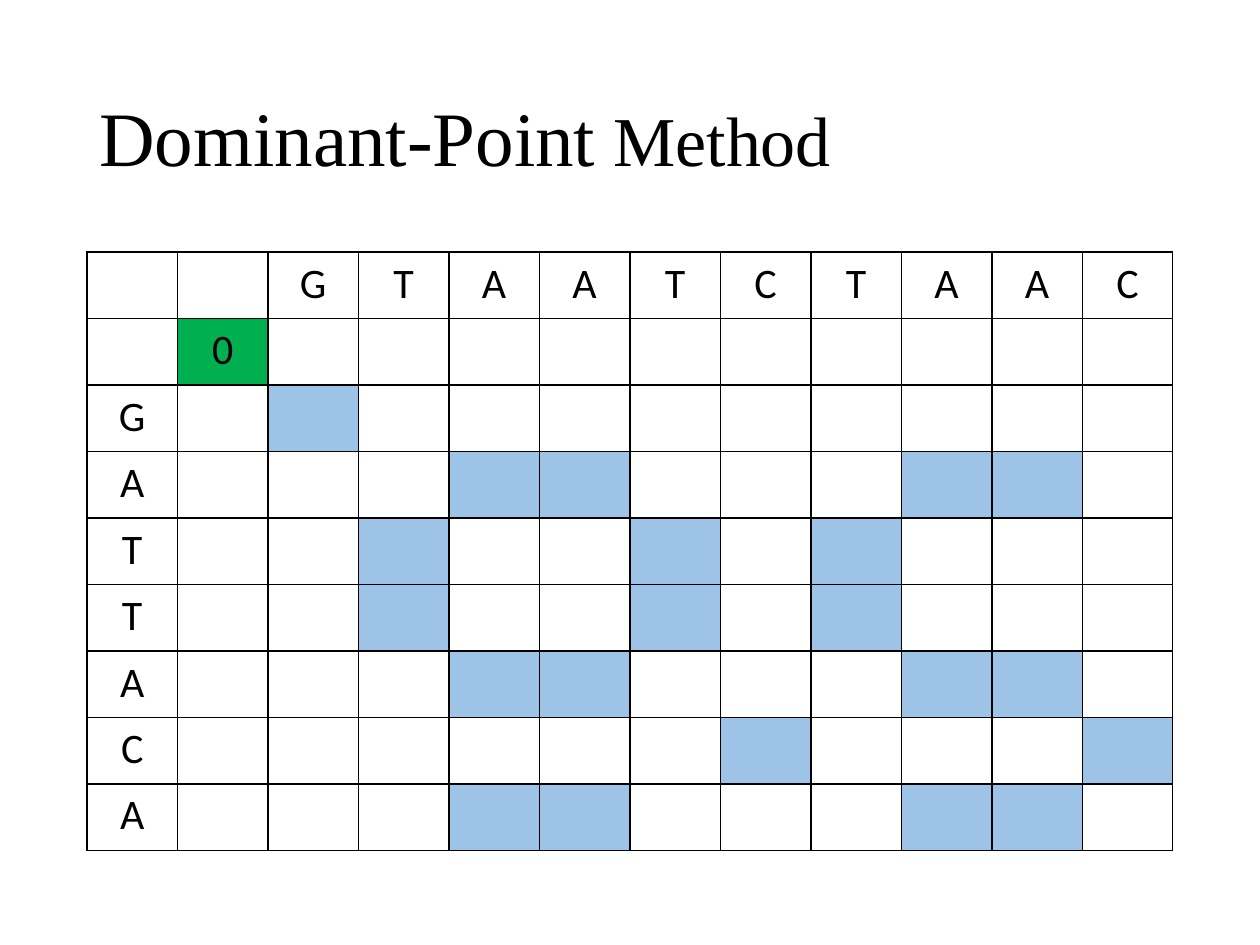
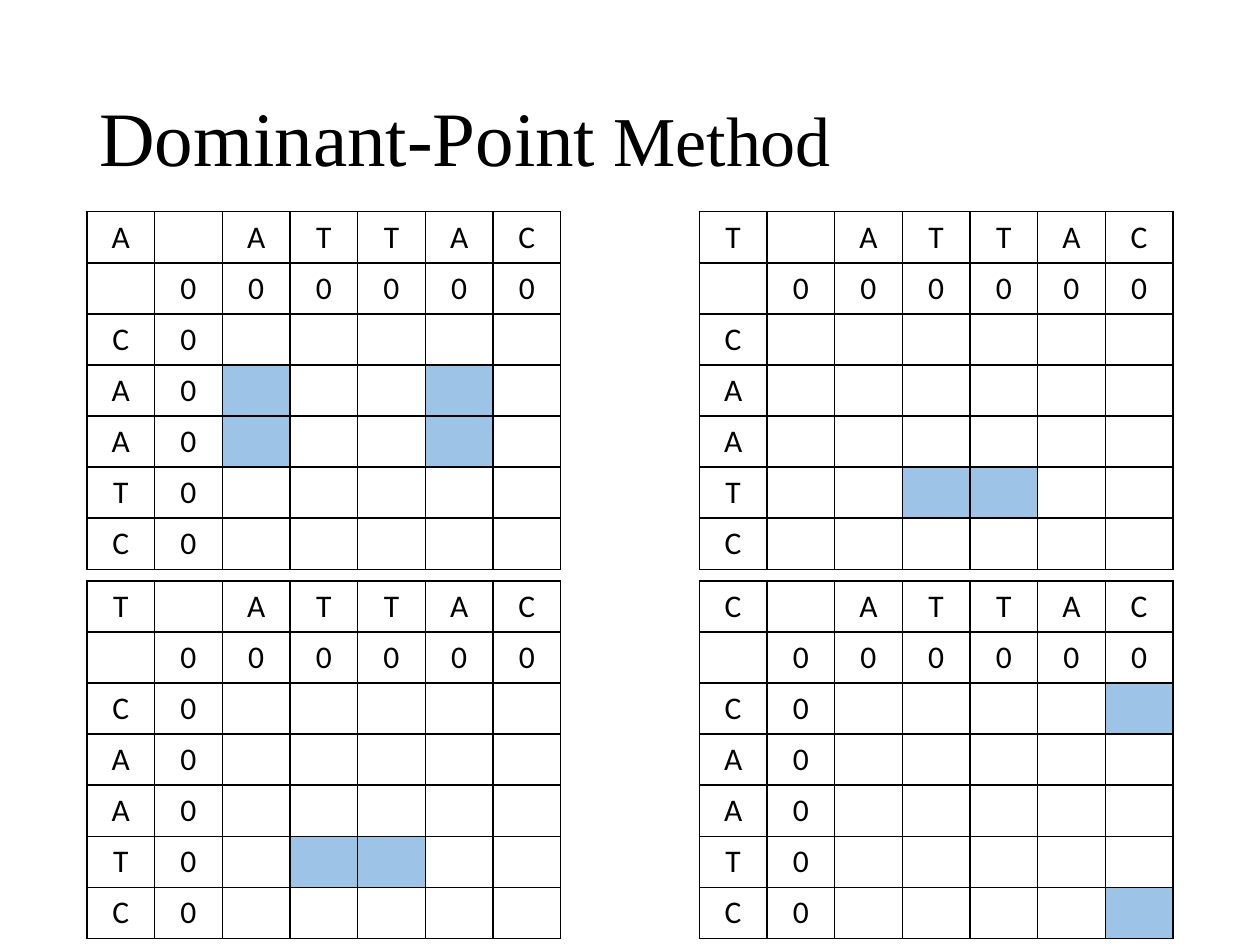
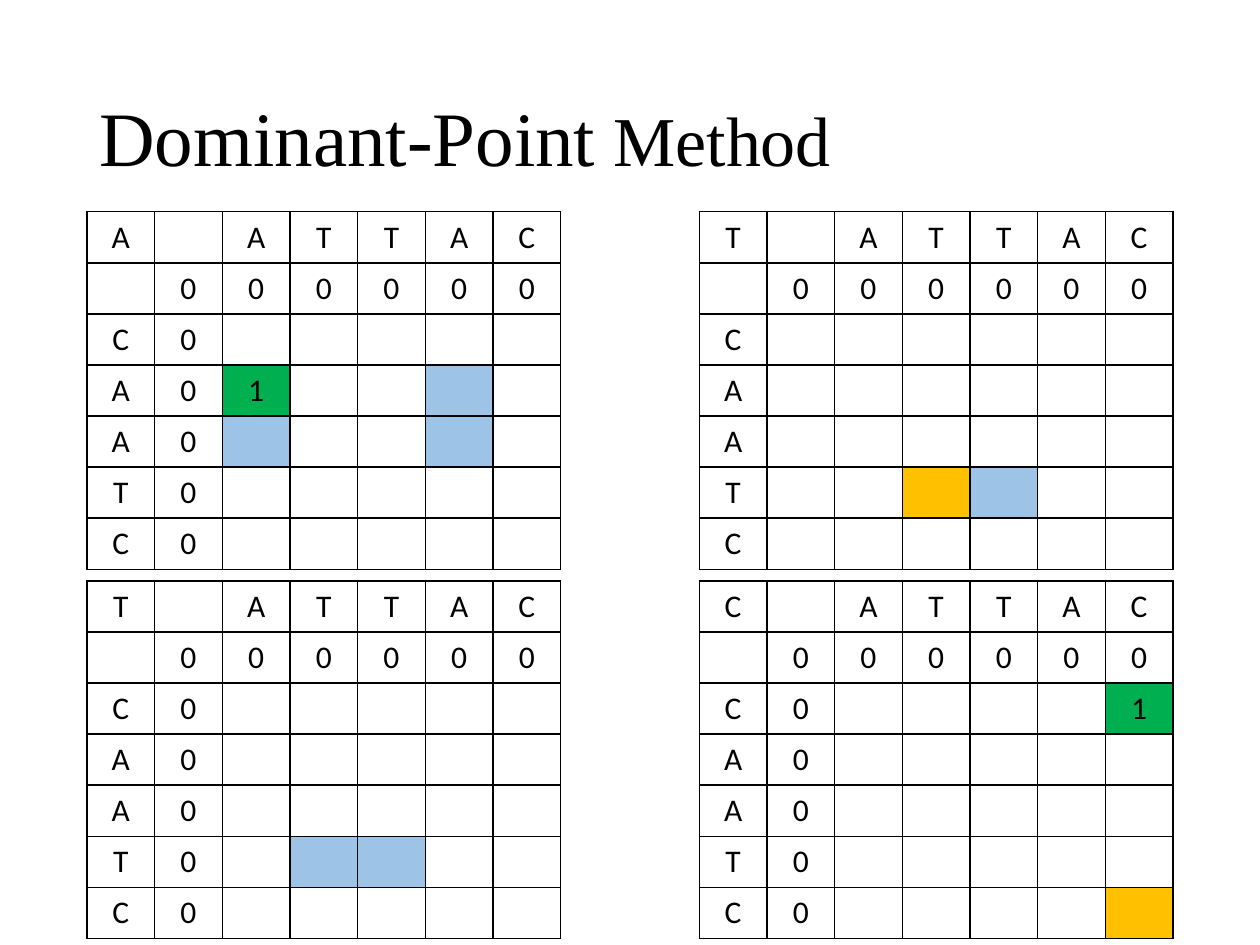
import pptx
import pptx.util
import pptx.dml.color
import pptx.enum.text
import pptx.oxml
import pptx.oxml.ns

Inches = pptx.util.Inches
RGBColor = pptx.dml.color.RGBColor
ANCHOR = pptx.enum.text.MSO_ANCHOR
ALIGN = pptx.enum.text.PP_ALIGN

BLACK = RGBColor(0x00, 0x00, 0x00)
BLUE = RGBColor(0x9D, 0xC3, 0xE6)
GREEN = RGBColor(0x00, 0xB0, 0x50)
GOLD = RGBColor(0xFF, 0xC0, 0x00)

LEFT, RIGHT = 0.69, 5.55
WIDE, SMALL = (8.62, 4.75), (3.76, 2.84)

# Sequences compared along the columns, rows and layers
TOP, SIDE = "GTAATCTAAC", "GATTACA"
CUBE_TOP, CUBE_SIDE = "ATTAC", "CAATC"
# Each layer: letter, left, top, whether its first column holds zeros
LAYERS = [("A", LEFT, 1.68, True), ("T", RIGHT, 1.68, False),
          ("T", LEFT, 4.61, True), ("C", RIGHT, 4.61, True)]
# Steps of the search: (layer, row, column) -> text and colour
STEPS = [{},
         {(0, 3, 2): ("1", GREEN), (1, 5, 3): ("", GOLD),
          (3, 2, 6): ("1", GREEN), (3, 6, 6): ("", GOLD)}]


def write(text, par, size, font="Calibri", align=ALIGN.LEFT, space=1.0):
    par.alignment = align
    par.line_spacing = space
    run = par.add_run()
    run.text = text
    run.font.size = pptx.util.Pt(size)
    run.font.name = font
    run.font.color.rgb = BLACK


def draw(slide, texts, fills, left, top, size, points, anchor):
    """Add a bordered grid of texts, filling the cells named in fills."""
    frame = slide.shapes.add_table(len(texts), len(texts[0]), Inches(left), Inches(top),
                                   *map(Inches, size))
    table = frame.table
    table.first_row = table.horz_banding = False
    for r, row in enumerate(texts):
        for c, text in enumerate(row):
            cell = table.cell(r, c)
            cell.vertical_anchor = anchor
            for edge in "LRTB":
                cell._tc.get_or_add_tcPr().append(pptx.oxml.parse_xml(
                    f'<a:ln{edge} {pptx.oxml.ns.nsdecls("a")} w="12700"><a:solidFill>'
                    f'<a:srgbClr val="{BLACK}"/></a:solidFill></a:ln{edge}>'))
            if (r, c) in fills:
                cell.fill.solid()
                cell.fill.fore_color.rgb = fills[r, c]
            else:
                cell.fill.background()
            if text:
                write(text, cell.text_frame.paragraphs[0], points, align=ALIGN.CENTER)


deck = pptx.Presentation()
deck.slide_width, deck.slide_height = Inches(10), Inches(7.5)
slides = []
for _ in range(3):
    slide = deck.slides.add_slide(deck.slide_layouts[6])
    box = slide.shapes.add_textbox(Inches(LEFT), Inches(0.4), Inches(8.62), Inches(1.45))
    box.text_frame.word_wrap = True
    box.text_frame.vertical_anchor = ANCHOR.MIDDLE
    for text, points in [("Dominant-Point", 44), (" Method", 40)]:
        write(text, box.text_frame.paragraphs[0], points, font="Times New Roman", space=0.9)
    slides.append(slide)

# Matches of two sequences
texts = [["", "", *TOP], ["", "0"] + [""] * len(TOP)]
texts += [[s] + [""] * (len(TOP) + 1) for s in SIDE + "A" * (8 - len(SIDE) - 1)]
fills = {(r, c): BLUE for r, s in enumerate(SIDE, 2) for c, t in enumerate(TOP, 2) if s == t}
fills[1, 1] = GREEN
draw(slides[0], texts, fills, LEFT, 2, WIDE, 24, ANCHOR.TOP)

# Matches of three sequences, one grid for each layer
for slide, marks in zip(slides[1:], STEPS):
    for n, (layer, left, top, zeros) in enumerate(LAYERS):
        texts = [[layer, "", *CUBE_TOP], [""] + ["0"] * (len(CUBE_TOP) + 1)]
        texts += [[s, "0" if zeros else ""] + [""] * len(CUBE_TOP) for s in CUBE_SIDE]
        fills = {(r, c): BLUE for r, s in enumerate(CUBE_SIDE, 2)
                 for c, t in enumerate(CUBE_TOP, 2) if s == t == layer}
        for (k, r, c), (text, color) in marks.items():
            if k == n:
                texts[r][c], fills[r, c] = text, color
        draw(slide, texts, fills, left, top, SMALL, 18, ANCHOR.MIDDLE)

deck.save("out.pptx")
